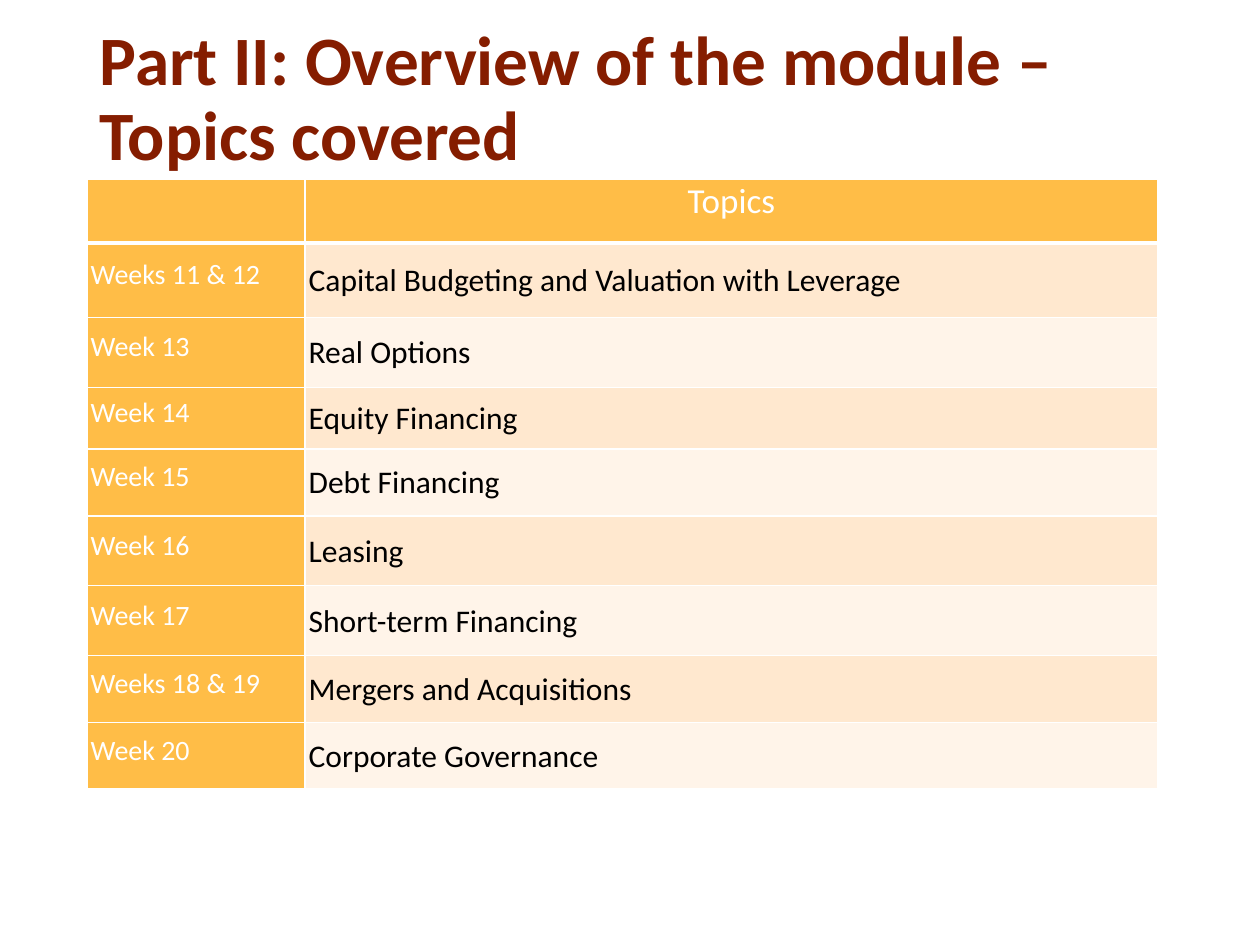
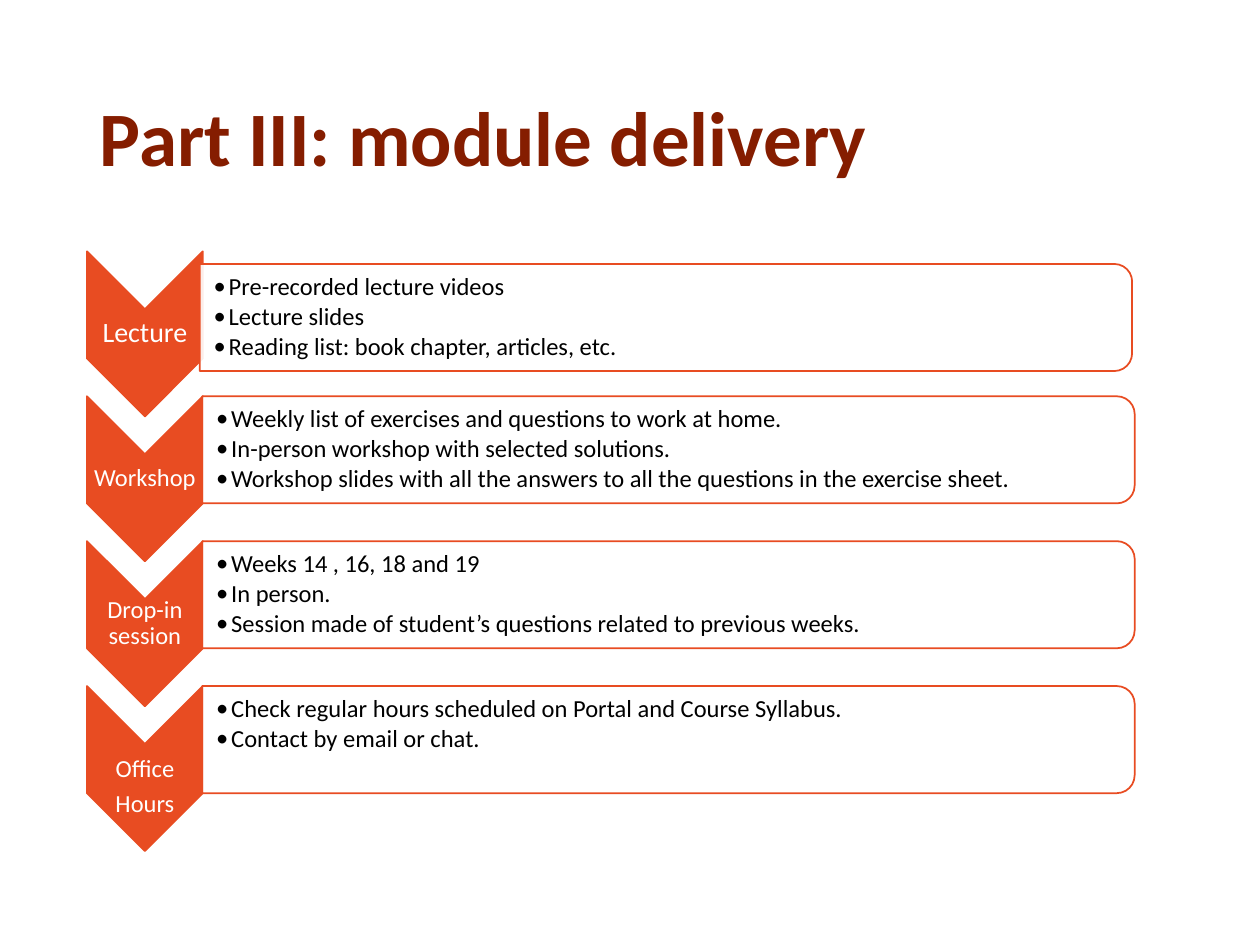
from collections import namedtuple

from lxml import etree
from pptx import Presentation
from pptx.dml.color import RGBColor
from pptx.enum.shapes import MSO_SHAPE
from pptx.enum.text import MSO_ANCHOR, MSO_AUTO_SIZE, PP_ALIGN
from pptx.oxml.ns import qn
from pptx.util import Inches, Pt

CHEVRON = MSO_SHAPE.CHEVRON
ROUNDED_END = MSO_SHAPE.ROUND_2_SAME_RECTANGLE
MIDDLE, TOP = MSO_ANCHOR.MIDDLE, MSO_ANCHOR.TOP
LEFT, CENTER, JUSTIFY = PP_ALIGN.LEFT, PP_ALIGN.CENTER, PP_ALIGN.JUSTIFY
NO_AUTOFIT = MSO_AUTO_SIZE.NONE

# The slide is a grid of 100 columns by 75 rows of square cells.
COLUMNS, ROWS, CELL = 100, 75, 0.1
TITLE_ONLY = 5
FONT = "Calibri"
WHITE, BLACK = "FFFFFF", "000000"
TITLE_RED, ORANGE, AMBER = "851D00", "E84C22", "FFBD47"
BANDS = ("FFE8CF", "FFF4E9")

Box = namedtuple("Box", "left top width height")
TITLE_BOX = Box(6.9, 4, 86.2, 14.5)
TABLE_BOX = Box(6.9, 14.2, 85, 48.4)
DELIVERY_BOX = Box(6.9, 19.95, 82.6, 45.9)

WEEK_COLUMN = 17.3
HEADER_ROW = 5.1
TOPICS = [
    ("Weeks 11 & 12", "Capital Budgeting and Valuation with Leverage", 5.9),
    ("Week 13", "Real Options", 5.55),
    ("Week 14", "Equity Financing", 4.9),
    ("Week 15", "Debt Financing", 5.3),
    ("Week 16", "Leasing", 5.55),
    ("Week 17", "Short-term Financing", 5.55),
    ("Weeks 18 & 19", "Mergers and Acquisitions", 5.3),
    ("Week 20", "Corporate Governance", 5.3),
]

Delivery = namedtuple("Delivery", "label size label_inset shift items")
DELIVERIES = [
    Delivery(["Lecture"], 16, 0.1, (-0.2, 1), [
        "Pre-recorded lecture videos",
        "Lecture slides",
        "Reading list: book chapter, articles, etc."]),
    Delivery(["Workshop"], 14, 0.1, (0, 0), [
        "Weekly list of exercises and questions to work at home.",
        "In-person workshop with selected solutions.",
        "Workshop slides with all the answers to all the questions in the exercise sheet."]),
    Delivery(["Drop-in session"], 14, 0.1, (0, 0), [
        "Weeks 14 , 16, 18 and 19",
        "In person.",
        "Session made of student’s questions related to previous weeks."]),
    Delivery(["Office", "Hours"], 14, 3, (0, 0), [
        "Check regular hours scheduled on Portal and Course Syllabus.",
        "Contact by email or chat."]),
]
CHEVRON_WIDTH, CHEVRON_LENGTH, DELIVERY_STEP = 9.2, 13.1, 11.5
BAR_LENGTH, BAR_HEIGHT, BAR_RISE = 74, 8.5, 2.3


def color(hex_text):
    return RGBColor.from_string(hex_text)


def grid(cells):
    return Inches(cells * CELL)


def place(shape, box):
    shape.left, shape.top, shape.width, shape.height = map(grid, box)


def add_run(paragraph, text, size, hex_text, bold=False):
    run = paragraph.add_run()
    run.text = text
    run.font.name = FONT
    run.font.size = Pt(size)
    run.font.bold = bold
    run.font.color.rgb = color(hex_text)


def set_margins(owner, left, top, right, bottom):
    owner.margin_left, owner.margin_top = grid(left), grid(top)
    owner.margin_right, owner.margin_bottom = grid(right), grid(bottom)


def add_title(slide, text, size, bottom_margin=0.5):
    title = slide.shapes.title
    place(title, TITLE_BOX)
    frame = title.text_frame
    frame.auto_size = NO_AUTOFIT
    frame.vertical_anchor = MIDDLE
    set_margins(frame, 1, 0.5, 1, bottom_margin)
    paragraph = frame.paragraphs[0]
    paragraph.alignment = LEFT
    paragraph.line_spacing = 0.9
    add_run(paragraph, text, size, TITLE_RED, bold=True)


def set_borders(cell, bottom_width):
    properties = cell._tc.get_or_add_tcPr()
    widths = {"a:lnL": 1, "a:lnR": 1, "a:lnT": 1, "a:lnB": bottom_width}
    for index, (tag, width) in enumerate(widths.items()):
        line = etree.Element(qn(tag), w=str(Pt(width)))
        fill = etree.SubElement(line, qn("a:solidFill"))
        etree.SubElement(fill, qn("a:srgbClr"), val=WHITE)
        properties.insert(index, line)


def fill_cell(cell, fill, text="", size=18, font_color=WHITE,
              alignment=LEFT, line_spacing=None, bottom_width=1):
    cell.fill.solid()
    cell.fill.fore_color.rgb = color(fill)
    set_borders(cell, bottom_width)
    cell.vertical_anchor = MIDDLE
    set_margins(cell, 0.3, 0.1, 0.3, 0)
    if text:
        paragraph = cell.text_frame.paragraphs[0]
        paragraph.alignment = alignment
        paragraph.line_spacing = line_spacing
        add_run(paragraph, text, size, font_color)


def add_topics_table(slide, box):
    frame = slide.shapes.add_table(len(TOPICS) + 1, 2, *map(grid, box))
    table = frame.table
    table.first_row = table.horz_banding = False
    table.columns[0].width = grid(WEEK_COLUMN)
    table.columns[1].width = grid(box.width - WEEK_COLUMN)
    table.rows[0].height = grid(HEADER_ROW)
    fill_cell(table.cell(0, 0), AMBER, bottom_width=3)
    fill_cell(table.cell(0, 1), AMBER, "Topics", 20, alignment=CENTER,
              line_spacing=Pt(13), bottom_width=3)
    for row, (week, topic, height) in enumerate(TOPICS, start=1):
        table.rows[row].height = grid(height)
        fill_cell(table.cell(row, 0), AMBER, week, 16,
                  alignment=JUSTIFY, line_spacing=Pt(13))
        fill_cell(table.cell(row, 1), BANDS[(row - 1) % 2], topic, font_color=BLACK)


def add_turned_shape(shapes, kind, box, fill):
    """Add a shape turned by 90 degrees that fills the box as seen."""
    offset = (box.width - box.height) / 2
    turned = Box(box.left + offset, box.top - offset, box.height, box.width)
    shape = shapes.add_shape(kind, *map(grid, turned))
    shape.rotation = 90
    shape.shadow.inherit = False
    shape.fill.solid()
    shape.fill.fore_color.rgb = color(fill)
    shape.line.color.rgb = color(ORANGE)
    shape.line.width = Pt(1)
    return shape


def set_opacity(shape, percent):
    fill_color = shape._element.spPr.find(qn("a:solidFill"))[0]
    etree.SubElement(fill_color, qn("a:alpha"), val=str(percent * 1000))


def add_bullet(paragraph):
    properties = paragraph._p.get_or_add_pPr()
    indent = grid(1.2)
    properties.set("marL", str(indent))
    properties.set("indent", str(-indent))
    etree.SubElement(properties, qn("a:buFont"), typeface=FONT)
    etree.SubElement(properties, qn("a:buChar"), char="•")


def add_text(shapes, box, lines, size, font_color, margins,
             anchor=MIDDLE, alignment=CENTER, space_after=4.5, bulleted=False):
    frame = shapes.add_textbox(*map(grid, box)).text_frame
    frame.word_wrap = True
    frame.auto_size = NO_AUTOFIT
    frame.vertical_anchor = anchor
    set_margins(frame, *margins)
    for index, line in enumerate(lines):
        paragraph = frame.paragraphs[0] if index == 0 else frame.add_paragraph()
        paragraph.alignment = alignment
        paragraph.line_spacing = 0.9
        paragraph.space_after = Pt(space_after)
        if bulleted:
            add_bullet(paragraph)
        add_run(paragraph, line, size, font_color)


def add_delivery(shapes, box, delivery):
    """Add a labelled chevron and, to its right, a bar with a list."""
    middle = box.top + box.height / 2
    chevron_box = box._replace(width=CHEVRON_WIDTH)
    add_turned_shape(shapes, CHEVRON, chevron_box, ORANGE)
    label_box = Box(box.left, middle - 1.95, CHEVRON_WIDTH, 3.9)
    add_text(shapes, label_box, delivery.label, delivery.size, WHITE,
             (0.1, delivery.label_inset, 0.1, 0.1))

    shift_right, shift_down = delivery.shift
    bar_middle = middle - BAR_RISE + shift_down
    bar_box = Box(box.left + CHEVRON_WIDTH - 0.05 + shift_right,
                  bar_middle - BAR_HEIGHT / 2, BAR_LENGTH, BAR_HEIGHT)
    bar = add_turned_shape(shapes, ROUNDED_END, bar_box, WHITE)
    set_opacity(bar, 90)
    list_box = Box(bar_box.left, bar_middle - 3.85, BAR_LENGTH - 0.5, 7.7)
    add_text(shapes, list_box, delivery.items, 14, BLACK, (1.1, 0.4, 0.1, 0.1),
             TOP, LEFT, space_after=2, bulleted=True)


def add_delivery_list(slide, box):
    shapes = slide.shapes.add_group_shape().shapes
    for index, delivery in enumerate(DELIVERIES):
        top = box.top + index * DELIVERY_STEP
        add_delivery(shapes, Box(box.left, top, box.width, CHEVRON_LENGTH), delivery)


def main():
    presentation = Presentation()
    presentation.slide_width = grid(COLUMNS)
    presentation.slide_height = grid(ROWS)
    layout = presentation.slide_layouts[TITLE_ONLY]

    topics_slide = presentation.slides.add_slide(layout)
    add_title(topics_slide, "Part II: Overview of the module – Topics covered",
              39.6, bottom_margin=7.1)
    add_topics_table(topics_slide, TABLE_BOX)

    delivery_slide = presentation.slides.add_slide(layout)
    add_title(delivery_slide, "Part III: module delivery", 44)
    add_delivery_list(delivery_slide, DELIVERY_BOX)

    presentation.save("out.pptx")


if __name__ == "__main__":
    main()
